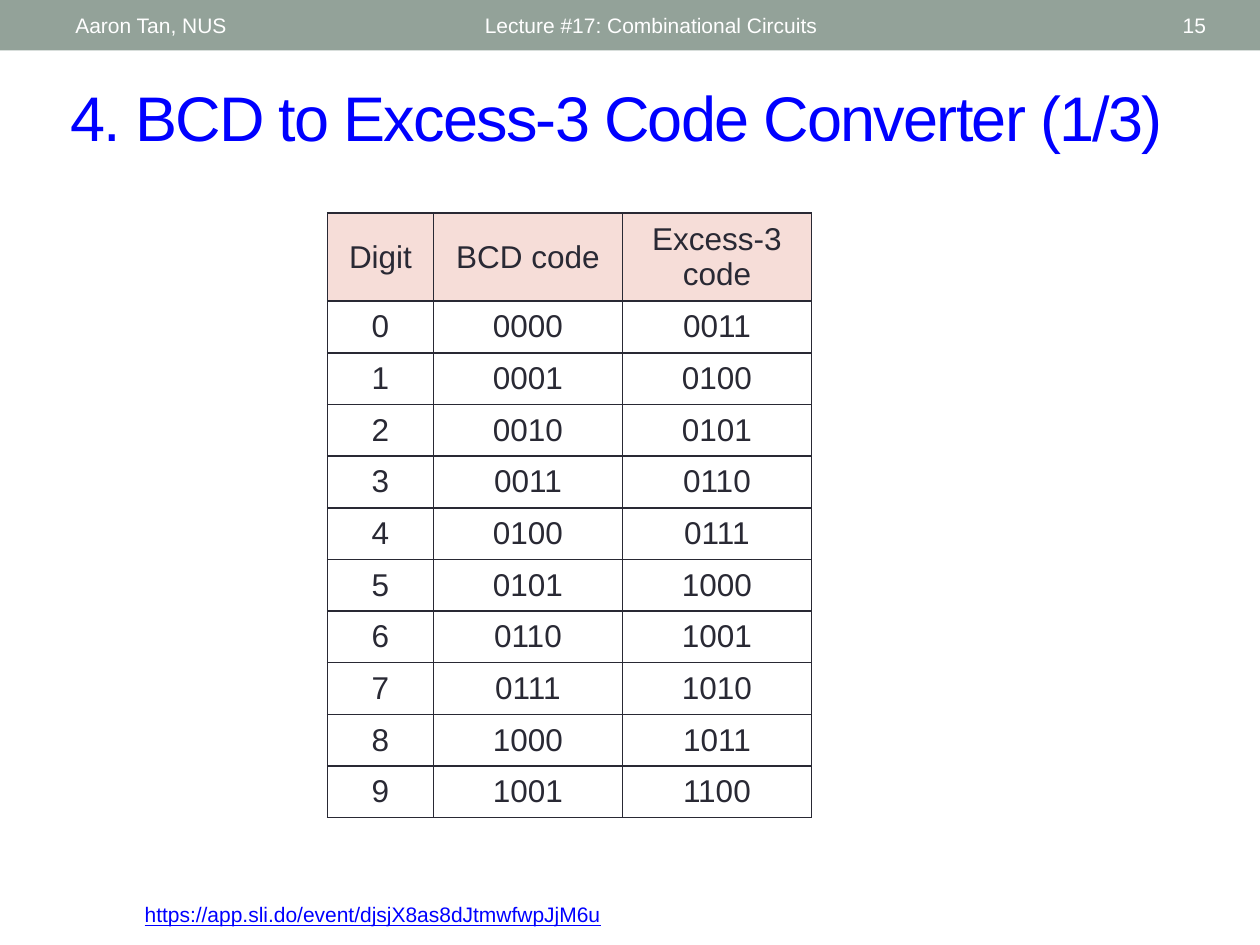
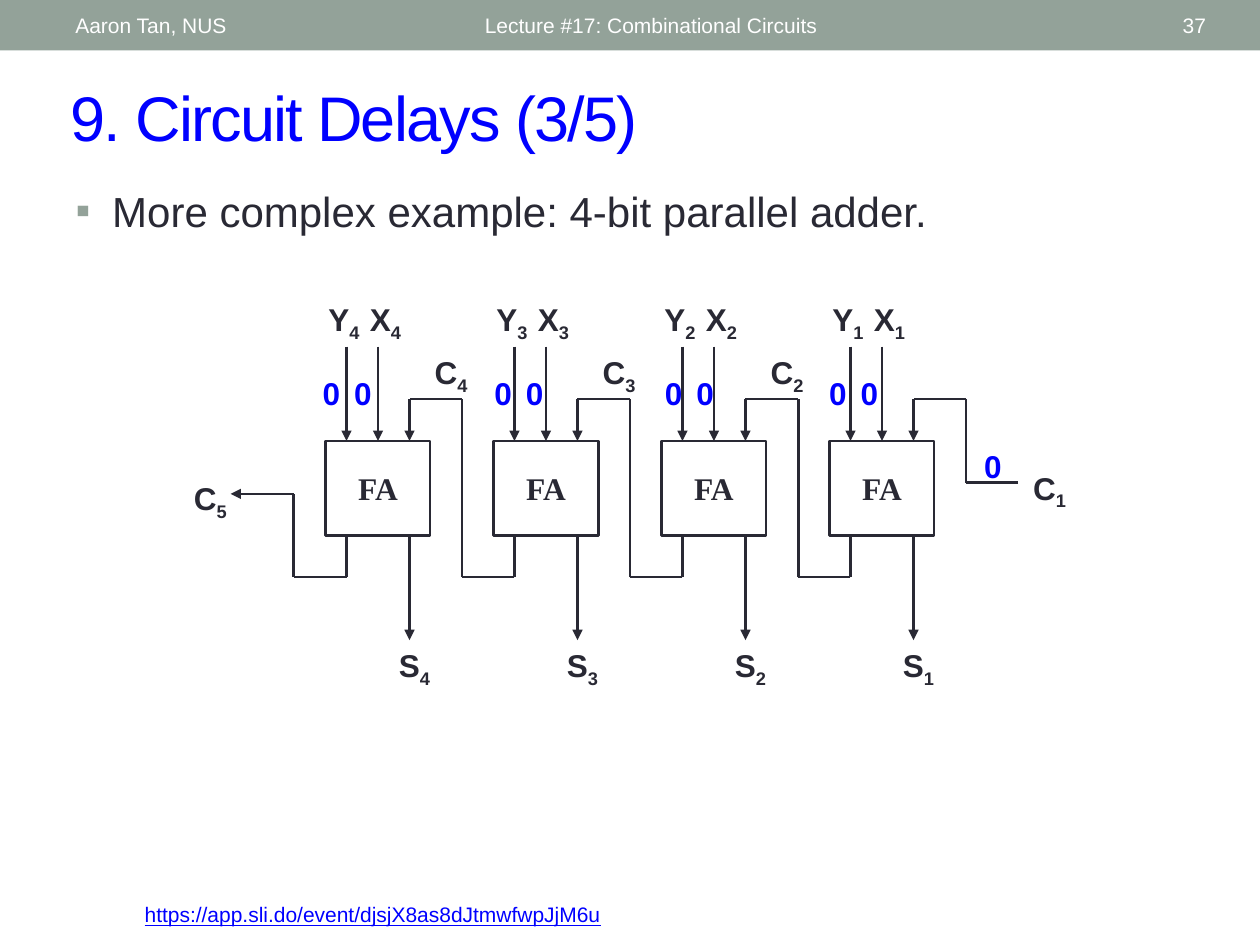
import itertools

import lxml.etree
import pptx
import pptx.dml.color
import pptx.enum.shapes
import pptx.enum.text
import pptx.oxml.ns
import pptx.util

Inches = pptx.util.Inches
Align = pptx.enum.text.PP_ALIGN
Anchor = pptx.enum.text.MSO_ANCHOR
qn = pptx.oxml.ns.qn

COLORS = {"band": "93A299", "ink": "292934", "blue": "0000FF",
          "white": "FFFFFF", "header": "F6DDD8"}
RGB = {name: pptx.dml.color.RGBColor.from_string(value) for name, value in COLORS.items()}


def write_text(holder, text, color="ink", size=18, align=Align.CENTER,
               bold=False, font="Arial", anchor=Anchor.TOP):
    """Fill a shape, placeholder or cell; what follows an underscore is a subscript."""
    frame = holder.text_frame
    frame.word_wrap = True
    frame.vertical_anchor = anchor
    para = frame.paragraphs[0]
    para.alignment = align
    para.space_before = pptx.util.Pt(0)
    para.font.name = font
    para.font.size = pptx.util.Pt(size)
    para.font.bold = bold
    para.font.color.rgb = RGB[color]
    for index, part in enumerate(text.split("_")):
        span = para.add_run()
        span.text = part
        if index:
            span._r.get_or_add_rPr().set("baseline", "-25000")
    return para


def add_wire(page, points, arrow=True):
    """Draw straight segments through the points and return the last one."""
    for start, end in itertools.pairwise(points):
        wire = page.shapes.add_connector(pptx.enum.shapes.MSO_CONNECTOR.STRAIGHT,
                                         *map(Inches, start + end))
        wire.line.color.rgb = RGB["ink"]
        wire.line.width = pptx.util.Pt(1.25)
        lxml.etree.SubElement(wire._element.spPr, qn("a:effectLst"))
    if arrow:
        lxml.etree.SubElement(wire.line._get_or_add_ln(), qn("a:tailEnd"), type="triangle")
    return wire


deck = pptx.Presentation()
deck.slide_width, deck.slide_height = Inches(10), Inches(7.5)

# Shared band, header, link and title: layout index, slide number, title
pages = []
for layout, number, title in [(5, "15", "4. BCD to Excess-3 Code Converter (1/3)"),
                              (1, "37", "9. Circuit Delays (3/5)")]:
    page = deck.slides.add_slide(deck.slide_layouts[layout])
    pages.append(page)

    band = page.shapes.add_shape(pptx.enum.shapes.MSO_SHAPE.RECTANGLE,
                                 0, 0, deck.slide_width, Inches(0.4))
    band.shadow.inherit = False
    band.fill.solid()
    band.fill.fore_color.rgb = RGB["band"]
    band.line.fill.background()

    for left, width, text, align in [
            (0.5, 3.17, "Aaron Tan, NUS", Align.LEFT),
            (3.75, 4.5, "Lecture #17: Combinational Circuits", Align.LEFT),
            (8.72, 0.95, number, Align.RIGHT)]:
        box = page.shapes.add_textbox(*map(Inches, (left, 0.02, width, 0.36)))
        write_text(box, text, "white", 12, align, anchor=Anchor.MIDDLE)

    box = page.shapes.add_textbox(*map(Inches, (1.05, 7.11, 7.57, 0.3)))
    para = write_text(box, "https://app.sli.do/event/djsjX8as8dJtmwfwpJjM6u",
                      "blue", 12, Align.LEFT)
    para.font.underline = True

    heading = page.shapes.title
    heading.left, heading.top, heading.width, heading.height = map(
        Inches, (0.46, 0.57, 9.21, 0.7))
    heading.text_frame.auto_size = pptx.enum.text.MSO_AUTO_SIZE.NONE
    para = write_text(heading, title, "blue", 36, Align.LEFT, anchor=Anchor.MIDDLE)
    para.runs[0]._r.get_or_add_rPr().set("spc", "-100")

code_page, adder_page = pages

# Code table: each excess-3 code is the digit plus three
rows = [("Digit", "BCD code", "Excess-3 code")]
rows += [(str(digit), f"{digit:04b}", f"{digit + 3:04b}") for digit in range(10)]
table = code_page.shapes.add_table(len(rows), 3, *map(Inches, (2.6, 1.69, 3.84, 4.76))).table
table.first_row = table.horz_banding = False
for column, width in zip(table.columns, (0.84, 1.5, 1.5)):
    column.width = Inches(width)
for row_index, values in enumerate(rows):
    table.rows[row_index].height = Inches(0.41 if row_index else 0.66)
    for column_index, value in enumerate(values):
        cell = table.cell(row_index, column_index)
        write_text(cell, value)
        cell.vertical_anchor = Anchor.MIDDLE
        for side in ("lnL", "lnR", "lnT", "lnB"):
            border = lxml.etree.SubElement(cell._tc.get_or_add_tcPr(), qn("a:" + side),
                                           w=str(pptx.util.Pt(1)))
            fill = lxml.etree.SubElement(border, qn("a:solidFill"))
            lxml.etree.SubElement(fill, qn("a:srgbClr"), val=COLORS["ink"])
        if row_index:
            cell.fill.background()
        else:
            cell.fill.solid()
            cell.fill.fore_color.rgb = RGB["header"]

# Bullet line
body = adder_page.placeholders[1]
body.left, body.top, body.width, body.height = map(Inches, (0.5, 1.42, 9, 0.75))
body.text_frame.auto_size = pptx.enum.text.MSO_AUTO_SIZE.NONE
properties = body.text_frame.paragraphs[0]._p.get_or_add_pPr()
properties.set("marL", str(Inches(0.29)))
properties.set("indent", str(-Inches(0.29)))
bullet_color = lxml.etree.SubElement(properties, qn("a:buClr"))
lxml.etree.SubElement(bullet_color, qn("a:srgbClr"), val=COLORS["band"])
lxml.etree.SubElement(properties, qn("a:buFont"), typeface="Arial")
lxml.etree.SubElement(properties, qn("a:buChar"), char="▪")
write_text(body, "More complex example: 4-bit parallel adder.", size=24, align=Align.LEFT)

# Four full adders, the highest bit on the left
PITCH = 4 / 3
TOP, BOTTOM = 3.5, 4.25
labels = [("C_5", 1.42, 3.75, 0.5, "ink"), ("C_1", 8.08, 3.67, 0.5, "ink"),
          ("0", 7.67, 3.5, 0.42, "blue")]
for index, zero_shift in enumerate((0, 0.03, 0.05, 0.02)):
    bit = 4 - index
    center = 3 + index * PITCH
    y_wire, sum_wire = center - 0.25, center + 0.25

    adder = adder_page.shapes.add_shape(
        pptx.enum.shapes.MSO_SHAPE.RECTANGLE,
        *map(Inches, (center - 0.415, TOP, 0.83, BOTTOM - TOP)))
    adder.shadow.inherit = False
    adder.fill.background()
    adder.line.color.rgb = RGB["ink"]
    adder.line.width = pptx.util.Pt(1.5)
    write_text(adder, "FA", bold=True, font="Times New Roman", anchor=Anchor.MIDDLE)

    # Inputs and sum
    add_wire(adder_page, [(y_wire, 2.75), (y_wire, TOP)])
    add_wire(adder_page, [(center, 2.75), (center, TOP)]).end_connect(adder, 0)
    add_wire(adder_page, [(sum_wire, BOTTOM), (sum_wire, 5.08)])

    # Carry in, from the next adder or from C1
    riser = center + 0.67
    if bit > 1:
        next_carry = y_wire + PITCH
        source = [(next_carry, BOTTOM), (next_carry, 4.58), (riser, 4.58)]
        labels.append((f"C_{bit}", center + 0.33, 2.75, 0.5, "ink"))
    else:
        source = [(8.08, 3.83), (riser, 3.83)]
    add_wire(adder_page, source + [(riser, 3.17), (sum_wire, 3.17), (sum_wire, TOP)])

    zero_left = center - 0.58 + zero_shift
    labels += [(f"Y_{bit}", center - 0.52, 2.33, 0.5, "ink"),
               (f"X_{bit}", center - 0.19, 2.33, 0.5, "ink"),
               (f"S_{bit}", center, 5.08, 0.58, "ink"),
               ("0", zero_left, 2.92, 0.42, "blue"),
               ("0", zero_left + 0.25, 2.92, 0.42, "blue")]

# Carry out
add_wire(adder_page, [(2.75, BOTTOM), (2.75, 4.58), (2.33, 4.58), (2.33, 3.92), (1.83, 3.92)])

# Signal names and values
for text, left, top, width, color in labels:
    box = adder_page.shapes.add_textbox(*map(Inches, (left, top, width, 0.4)))
    write_text(box, text, color, bold=True)

deck.save("out.pptx")
